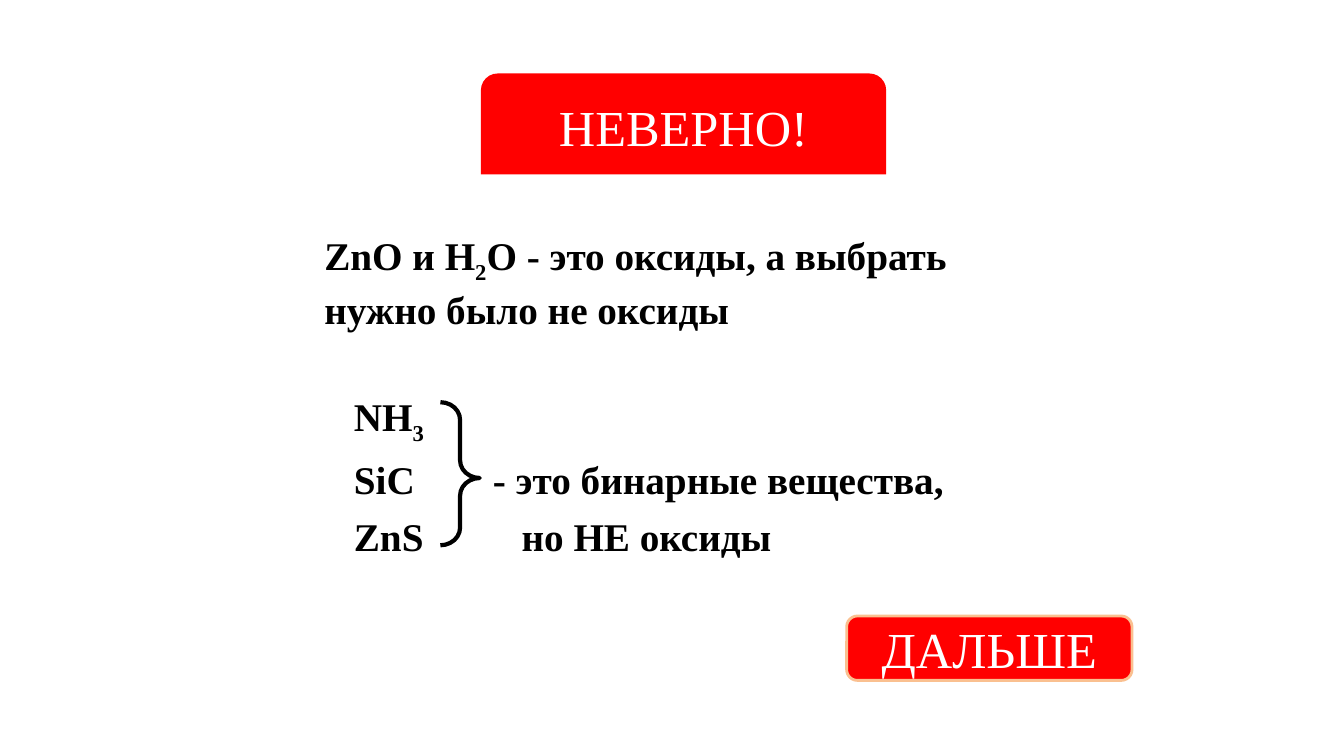
from lxml.etree import SubElement
from pptx import Presentation
from pptx.dml.color import RGBColor
from pptx.enum.shapes import MSO_SHAPE
from pptx.enum.text import MSO_ANCHOR, PP_ALIGN
from pptx.oxml.ns import qn
from pptx.util import Pt

COLORS = {"red": "FF0000", "peach": "FAC090", "white": "FFFFFF", "black": "000000"}
FONT = "Times New Roman"


def rgb(name):
    return RGBColor.from_string(COLORS[name])


def set_attrs(obj, values):
    for name, value in values.items():
        setattr(obj, name, value)


def add_shape(slide, kind, box, fill=None, line=None, width=0):
    sp = slide.shapes.add_shape(kind, *[Pt(v) for v in box])
    sp.shadow.inherit = False
    if fill:
        sp.fill.solid()
        sp.fill.fore_color.rgb = rgb(fill)
    else:
        sp.fill.background()
    if line:
        sp.line.color.rgb = rgb(line)
        sp.line.width = Pt(width)
    else:
        sp.line.fill.background()
    return sp


def add_run(p, text, size, color, bold=False):
    r = p.add_run()
    r.text = text
    set_attrs(r.font, {"name": FONT, "size": Pt(size), "bold": bold})
    r.font.color.rgb = rgb(color)
    return r


def add_label(slide, kind, box, text, **line):
    sp = add_shape(slide, kind, box, "red", **line)
    tf = sp.text_frame
    set_attrs(tf, {"word_wrap": True, "vertical_anchor": MSO_ANCHOR.MIDDLE})
    p = tf.paragraphs[0]
    p.alignment = PP_ALIGN.CENTER
    add_run(p, text, 36, "white")


def add_formula_text(slide, box, lines, indent=0):
    """Lines are (text, tab stop); text between underscores is subscript."""
    sp = add_shape(slide, MSO_SHAPE.RECTANGLE, box, "white")
    tf = sp.text_frame
    set_attrs(tf, {"word_wrap": True, "vertical_anchor": MSO_ANCHOR.TOP,
                   "margin_left": Pt(7.2 + indent)})
    for i, (text, tab) in enumerate(lines):
        p = tf.add_paragraph() if i else tf.paragraphs[0]
        set_attrs(p, {"alignment": PP_ALIGN.LEFT, "space_before": Pt(7 if i else 3)})
        if tab:
            tabs = SubElement(p._p.get_or_add_pPr(), qn("a:tabLst"))
            SubElement(tabs, qn("a:tab"), pos=str(Pt(tab)), algn="l")
        for j, part in enumerate(text.split("_")):
            if part:
                r = add_run(p, part, 28, "black", bold=True)
                if j % 2:
                    r._r.get_or_add_rPr().set("baseline", "-25000")


def main():
    prs = Presentation()
    set_attrs(prs, {"slide_width": Pt(960), "slide_height": Pt(540)})
    slide = prs.slides.add_slide(prs.slide_layouts[6])

    # Button and verdict
    add_label(slide, MSO_SHAPE.ROUNDED_RECTANGLE, (604.8, 440, 203.8, 46),
              "ДАЛЬШЕ", line="peach", width=2)
    add_label(slide, MSO_SHAPE.ROUND_2_SAME_RECTANGLE, (343.5, 52.5, 289.5, 72),
              "НЕВЕРНО!")

    # Explanation
    left, width = 224.6, 481.7
    add_formula_text(slide, (left, 162, width, 75), [
        ("ZnO и H_2_O - это оксиды, а выбрать нужно было не оксиды", None)])

    # Binary substances joined by a brace
    add_formula_text(slide, (left, 276.5, width, 122.4), [
        ("NH_3_", None),
        ("SiC\t- это бинарные вещества,", 99.3),
        ("ZnS\tно НЕ оксиды", 119.8)], indent=21)
    brace = add_shape(slide, MSO_SHAPE.RIGHT_BRACE, (314.6, 287.3, 28.1, 102.2),
                      line="black", width=3)
    brace.adjustments[0], brace.adjustments[1] = 0.45, 0.53

    prs.save("out.pptx")


main()
